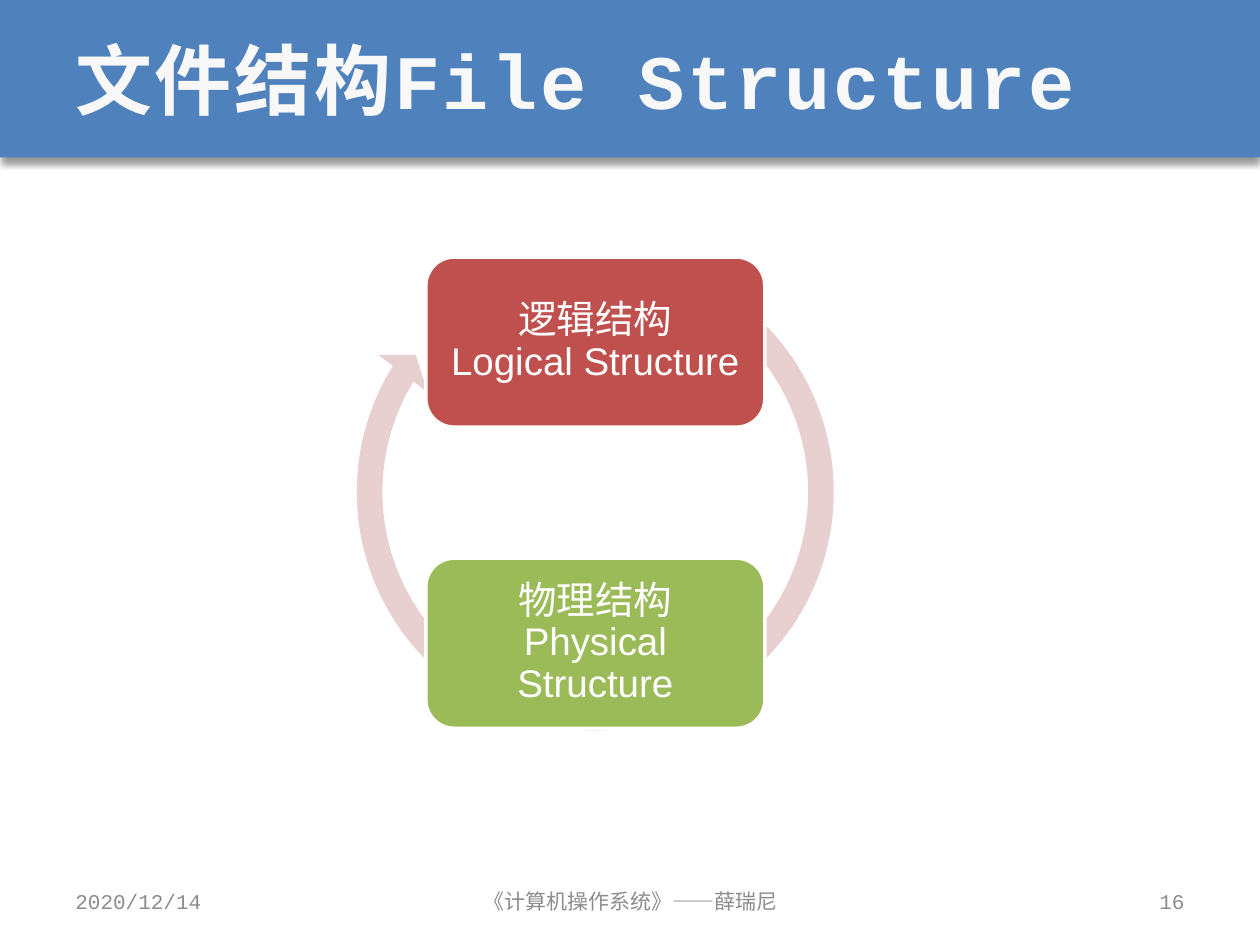
import pptx
import pptx.dml.color
import pptx.enum.shapes
import pptx.enum.text
import pptx.oxml
import pptx.oxml.ns
import pptx.util

Inches = pptx.util.Inches
Pt = pptx.util.Pt
Shapes = pptx.enum.shapes.MSO_SHAPE
Align = pptx.enum.text.PP_ALIGN

COLORS = {
    "banner": "4F81BD",
    "title": "F8F8F8",
    "arrow": "E8D0D0",
    "logical": "C0504D",
    "physical": "9BBB59",
    "white": "FFFFFF",
    "footer": "8C8C8C",
}
FONTS = {
    "title": {"name": "Courier New", "size": Pt(44), "bold": True},
    "node": {"name": "Arial", "size": Pt(22), "bold": False},
    "footer": {"name": "Courier New", "size": Pt(12), "bold": False},
}
NODE_MARGINS = dict.fromkeys(
    ("margin_left", "margin_top", "margin_right", "margin_bottom"), Inches(0.09)
)


def rgb(color):
    return pptx.dml.color.RGBColor.from_string(COLORS[color])


def apply_values(target, values):
    for name, value in values.items():
        setattr(target, name, value)


class SlideBuilder:
    """Holds the style and the current slide; places are (left, top, width, height) in inches."""

    def __init__(self, slide, fonts):
        self.slide = slide
        self.fonts = fonts

    def shape(self, kind, place, fill, outline=None):
        shape = self.slide.shapes.add_shape(kind, *map(Inches, place))
        shape.fill.solid()
        shape.fill.fore_color.rgb = rgb(fill)
        if outline:
            shape.line.color.rgb = rgb(outline)
            shape.line.width = Pt(2)
        else:
            shape.line.fill.background()
        shape.shadow.inherit = False
        return shape

    def fill_text(self, frame, text, style, color, align, spacing=None):
        """Fill a text frame with one paragraph; newlines become line breaks."""
        apply_values(frame, {
            "word_wrap": True,
            "vertical_anchor": pptx.enum.text.MSO_ANCHOR.MIDDLE,
        })
        para = frame.paragraphs[0]
        para.alignment = align
        for index, line in enumerate(text.split("\n")):
            if index:
                para.add_line_break()
            span = para.add_run()
            span.text = line
            apply_values(span.font, self.fonts[style])
            span.font.color.rgb = rgb(color)
            if spacing:
                span.font._element.set("spc", str(spacing))
        return para

    def text(self, place, text, style, align=Align.LEFT, spacing=None):
        box = self.slide.shapes.add_textbox(*map(Inches, place))
        self.fill_text(box.text_frame, text, style, style, align, spacing)

    def banner(self, place):
        """Draw the title band with a soft shadow below it."""
        band = self.shape(Shapes.RECTANGLE, place, "banner")
        effects = band._element.spPr.find(pptx.oxml.ns.qn("a:effectLst"))
        effects.append(pptx.oxml.parse_xml(
            f'<a:outerShdw {pptx.oxml.ns.nsdecls("a")} blurRad="{Pt(4)}" '
            f'dist="{Pt(3)}" dir="5400000" algn="t" rotWithShape="0">'
            '<a:srgbClr val="000000"><a:alpha val="40000"/></a:srgbClr>'
            '</a:outerShdw>'
        ))

    def cycle_arrow(self, place, adjustments):
        arrow = self.shape(Shapes.CIRCULAR_ARROW, place, "arrow")
        for index, value in enumerate(adjustments):
            arrow.adjustments[index] = value

    def node(self, place, text, fill):
        node = self.shape(Shapes.ROUNDED_RECTANGLE, place, fill, outline="white")
        apply_values(node.text_frame, NODE_MARGINS)
        para = self.fill_text(node.text_frame, text, "node", "white", Align.CENTER)
        para.line_spacing = 0.9


def main():
    deck = pptx.Presentation()
    deck.slide_width, deck.slide_height = Inches(10), Inches(7.5)
    page = SlideBuilder(deck.slides.add_slide(deck.slide_layouts[6]), FONTS)

    page.banner((0, 0, 10, 1.25))
    page.text((0.5, 0, 9, 1.25), "文件结构File Structure", "title", spacing=150)

    page.cycle_arrow((2.69, 1.87, 4.07, 4.07), (0.05, 3.44, 126.96, 180.75, 0.06))
    nodes = (
        (2.04, "逻辑结构\nLogical Structure", "logical"),
        (4.43, "物理结构\nPhysical Structure", "physical"),
    )
    for top, text, fill in nodes:
        page.node((3.38, top, 2.69, 1.35), text, fill)

    footers = (
        (0.5, 2.33, "2020/12/14", Align.LEFT),
        (3.42, 3.17, "《计算机操作系统》——薛瑞尼", Align.CENTER),
        (7.17, 2.33, "16", Align.RIGHT),
    )
    for left, width, text, align in footers:
        page.text((left, 6.95, width, 0.4), text, "footer", align)

    deck.save("out.pptx")


if __name__ == "__main__":
    main()
